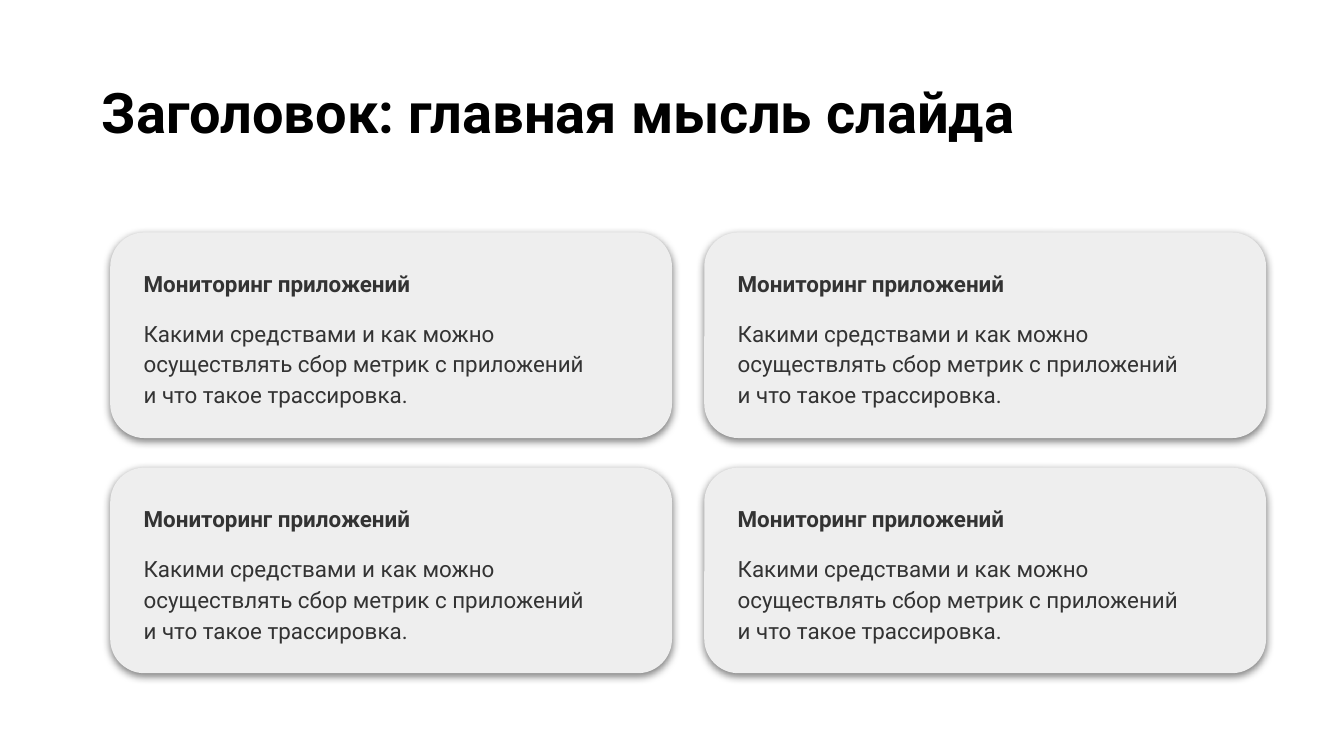
from dataclasses import dataclass

import pptx
import pptx.dml.color
import pptx.enum.shapes
import pptx.enum.text
import pptx.oxml
import pptx.oxml.ns
import pptx.util
from pptx.util import Inches


@dataclass(frozen=True)
class Theme:
    font: str = "Roboto"
    title_color: str = "000000"
    text_color: str = "333333"
    card_color: str = "EEEEEE"
    shadow_color: str = "000000"
    title_size: int = 30
    text_size: int = 12


@dataclass(frozen=True)
class Card:
    heading: str
    lines: tuple[str, ...]


THEME = Theme()
TITLE = "Заголовок: главная мысль слайда"
MONITORING = Card(
    "Мониторинг приложений",
    (
        "Какими средствами и как можно осуществлять сбор метрик с приложений",
        "и что такое трассировка.",
    ),
)
CARDS = [MONITORING] * 4

PAGE_WIDTH = 10
PAGE_HEIGHT = PAGE_WIDTH * 9 / 16
COLUMNS = 2
GRID_LEFT, GRID_TOP = 0.82, 1.73
CARD_WIDTH, CARD_HEIGHT = 4.18, 1.53
COLUMN_STEP, ROW_STEP = 4.42, 1.75
CARD_PADDING = 0.15


def add_text_box(page, left: float, top: float, width: float, height: float):
    box = page.shapes.add_textbox(
        Inches(left), Inches(top), Inches(width), Inches(height)
    )
    frame = box.text_frame
    frame.word_wrap = True
    frame.vertical_anchor = pptx.enum.text.MSO_ANCHOR.TOP
    frame.margin_left = frame.margin_right = Inches(0.1)
    frame.margin_top = frame.margin_bottom = Inches(0.1)
    return frame


def style_paragraph(para, size: int, color: str, bold: bool) -> None:
    para.font.name = THEME.font
    para.font.size = pptx.util.Pt(size)
    para.font.bold = bold
    para.font.color.rgb = pptx.dml.color.RGBColor.from_string(color)


def add_soft_shadow(shape) -> None:
    """Give the shape a blurred shadow that falls straight down."""
    shape.shadow.inherit = False
    effects = shape._element.spPr.find(pptx.oxml.ns.qn("a:effectLst"))
    effects.append(
        pptx.oxml.parse_xml(
            f'<a:outerShdw {pptx.oxml.ns.nsdecls("a")} '
            f'blurRad="{pptx.util.Pt(4.5)}" dist="{pptx.util.Pt(1.5)}" '
            'dir="5400000" algn="bl" rotWithShape="0">'
            f'<a:srgbClr val="{THEME.shadow_color}"><a:alpha val="50000"/>'
            "</a:srgbClr></a:outerShdw>"
        )
    )


def add_title(page, text: str) -> None:
    para = add_text_box(page, 0.66, 0.48, 7.27, 1.2).paragraphs[0]
    para.text = text
    style_paragraph(para, THEME.title_size, THEME.title_color, bold=True)


def add_card(page, card: Card, left: float, top: float) -> None:
    panel = page.shapes.add_shape(
        pptx.enum.shapes.MSO_SHAPE.ROUNDED_RECTANGLE,
        Inches(left), Inches(top), Inches(CARD_WIDTH), Inches(CARD_HEIGHT),
    )
    panel.adjustments[0] = 0.167
    panel.fill.solid()
    panel.fill.fore_color.rgb = pptx.dml.color.RGBColor.from_string(THEME.card_color)
    panel.line.fill.background()
    add_soft_shadow(panel)

    frame = add_text_box(
        page,
        left + CARD_PADDING,
        top + CARD_PADDING,
        CARD_WIDTH - 2 * CARD_PADDING,
        CARD_HEIGHT - 2 * CARD_PADDING,
    )
    frame.auto_size = pptx.enum.text.MSO_AUTO_SIZE.SHAPE_TO_FIT_TEXT
    for index, line in enumerate((card.heading, *card.lines)):
        para = frame.add_paragraph() if index else frame.paragraphs[0]
        para.text = line
        para.line_spacing = 1.15
        para.space_before = pptx.util.Pt(10 if index == 1 else 0)
        style_paragraph(para, THEME.text_size, THEME.text_color, bold=index == 0)


def main() -> None:
    deck = pptx.Presentation()
    deck.slide_width, deck.slide_height = Inches(PAGE_WIDTH), Inches(PAGE_HEIGHT)
    page = deck.slides.add_slide(deck.slide_layouts[6])
    add_title(page, TITLE)
    for index, card in enumerate(CARDS):
        row, column = divmod(index, COLUMNS)
        add_card(
            page, card, GRID_LEFT + column * COLUMN_STEP, GRID_TOP + row * ROW_STEP
        )
    deck.save("out.pptx")


if __name__ == "__main__":
    main()
